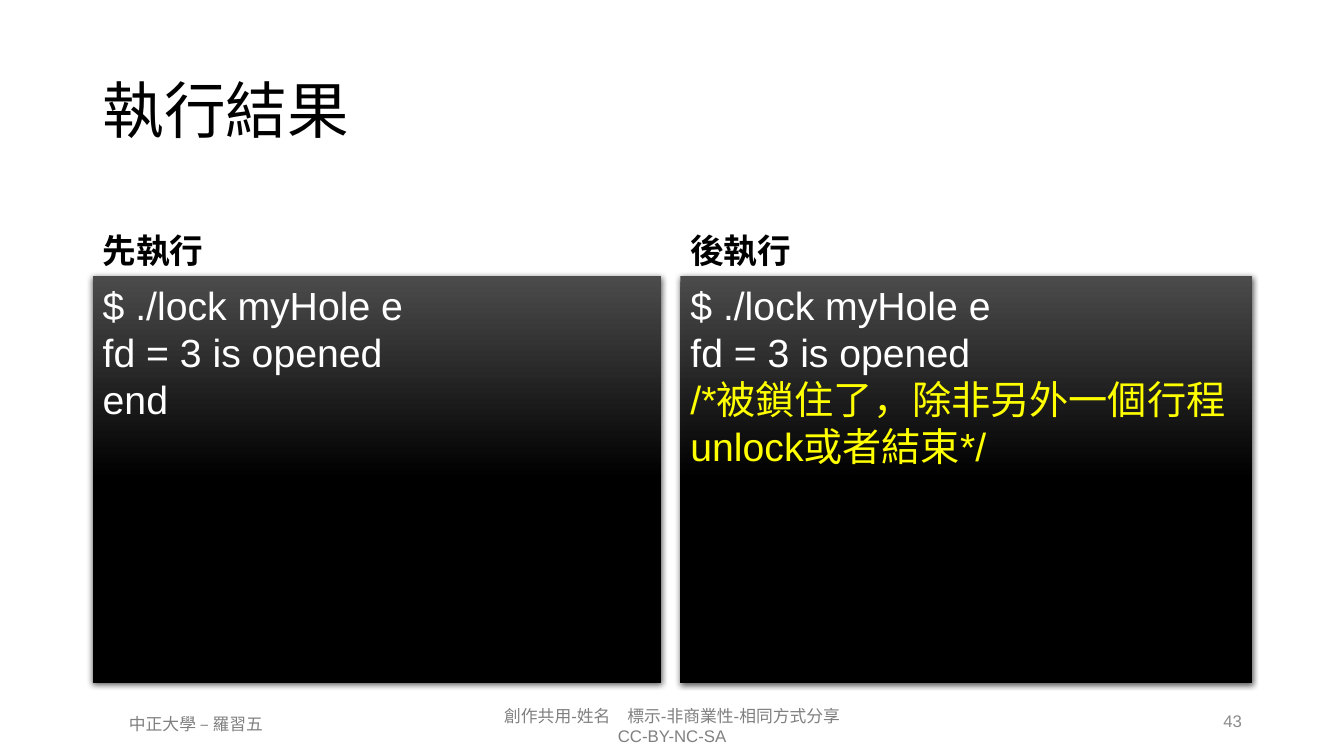
from dataclasses import dataclass

from lxml import etree
from pptx import Presentation
from pptx.dml.color import RGBColor as RGB
from pptx.enum.shapes import MSO_SHAPE as SHAPE
from pptx.enum.text import MSO_ANCHOR as ANCHOR, PP_ALIGN as ALIGN
from pptx.oxml.ns import qn
from pptx.util import Cm, Pt


@dataclass(frozen=True)
class Theme:
    """Font, colours and type sizes of the slide."""
    font: str = "Arial"
    ink: RGB = RGB(0, 0, 0)
    code: RGB = RGB(255, 255, 255)
    note: RGB = RGB(255, 255, 0)
    panel_top: RGB = RGB(0x4B, 0x4B, 0x4B)
    footer: RGB = RGB(0x80, 0x80, 0x80)
    number: RGB = RGB(0x8C, 0x8C, 0x8C)
    title_size: int = 44
    heading_size: int = 24
    code_size: int = 28
    footer_size: int = 12


T = Theme()
LEFT, RIGHT = 2.34, 31.55
COLUMN_TOP, COLUMN_HEIGHT, HEADING_HEIGHT = 4.67, 12.53, 2.29


def write(tf, lines, size, color, align=ALIGN.LEFT, anchor=ANCHOR.TOP, bold=False):
    """Fill a text frame with one paragraph per line."""
    tf.word_wrap = True
    tf.vertical_anchor = anchor
    tf.text = "\n".join(lines)
    for p in tf.paragraphs:
        p.alignment = align
        for r in p.runs:
            r.font.name, r.font.size, r.font.bold = T.font, Pt(size), bold
            r.font.color.rgb = color


def add_text(s, box, lines, size, color, **style):
    """Add a text box and return its text frame."""
    tf = s.shapes.add_textbox(*map(Cm, box)).text_frame
    write(tf, lines, size, color, **style)
    return tf


def add_shadow(sp):
    """Give a shape a soft shadow just below it."""
    sp.shadow.inherit = False
    effects = sp._element.spPr.find(qn("a:effectLst"))
    shadow = etree.SubElement(effects, qn("a:outerShdw"), blurRad=str(Pt(4.5)),
                              dist=str(Pt(1.5)), dir="5400000", rotWithShape="0")
    color = etree.SubElement(shadow, qn("a:srgbClr"), val=str(T.ink))
    etree.SubElement(color, qn("a:alpha"), val="63000")


def add_title(s, box, text):
    """Add the slide title."""
    tf = add_text(s, box, [text], T.title_size, T.ink, anchor=ANCHOR.MIDDLE)
    tf.paragraphs[0].line_spacing = 0.9


def add_terminal(s, box, lines):
    """Add a dark panel of output, with comment lines highlighted."""
    sp = s.shapes.add_shape(SHAPE.RECTANGLE, *map(Cm, box))
    sp.fill.gradient()
    sp.fill.gradient_angle = 270
    top, bottom = sp.fill.gradient_stops
    top.color.rgb, bottom.color.rgb = T.panel_top, T.ink
    top.position, bottom.position = 0, 0.5
    sp.line.fill.background()
    add_shadow(sp)
    write(sp.text_frame, lines, T.code_size, T.code)
    for p in sp.text_frame.paragraphs:
        if p.text.startswith("/*"):
            p.runs[0].font.color.rgb = T.note


def add_column(s, box, heading, lines):
    """Add a heading with its terminal panel below."""
    x, y, w, h = box
    tf = add_text(s, (x, y, w, HEADING_HEIGHT), [heading], T.heading_size, T.ink,
                  anchor=ANCHOR.BOTTOM, bold=True)
    p = tf.paragraphs[0]
    p.line_spacing, p.space_before = 0.9, Pt(10)
    add_terminal(s, (x, y + HEADING_HEIGHT, w, h - HEADING_HEIGHT), lines)


def add_footer(s, box):
    """Add author, licence and slide number along the bottom."""
    x, y, w, h = box
    add_text(s, (x + 8.35, y, 12.5, h),
             ["創作共用-姓名　標示-非商業性-相同方式分享", "CC-BY-NC-SA"],
             T.footer_size, T.footer, align=ALIGN.CENTER)
    add_text(s, (x - 0.59, y + 0.2, 6.38, 0.76), ["中正大學 – 羅習五"],
             T.footer_size, T.footer, align=ALIGN.CENTER)
    add_text(s, (x + w - 7.62, y, 7.62, 1.02), ["43"],
             T.footer_size, T.number, align=ALIGN.RIGHT, anchor=ANCHOR.MIDDLE)


def main():
    """Build and save the slide."""
    prs = Presentation()
    prs.slide_width, prs.slide_height = Cm(33.87), Cm(19.05)
    s = prs.slides.add_slide(prs.slide_layouts[6])
    opened = ["$ ./lock myHole e", "fd = 3 is opened"]
    add_title(s, (LEFT, 1.02, RIGHT - LEFT, 3.68), "執行結果")
    add_column(s, (LEFT, COLUMN_TOP, 14.33, COLUMN_HEIGHT), "先執行", opened + ["end"])
    add_column(s, (17.15, COLUMN_TOP, 14.4, COLUMN_HEIGHT), "後執行",
               opened + ["/*被鎖住了，除非另外一個行程unlock或者結束*/"])
    add_footer(s, (LEFT, 17.65, RIGHT - LEFT, 1.27))
    prs.save("out.pptx")


if __name__ == "__main__":
    main()
